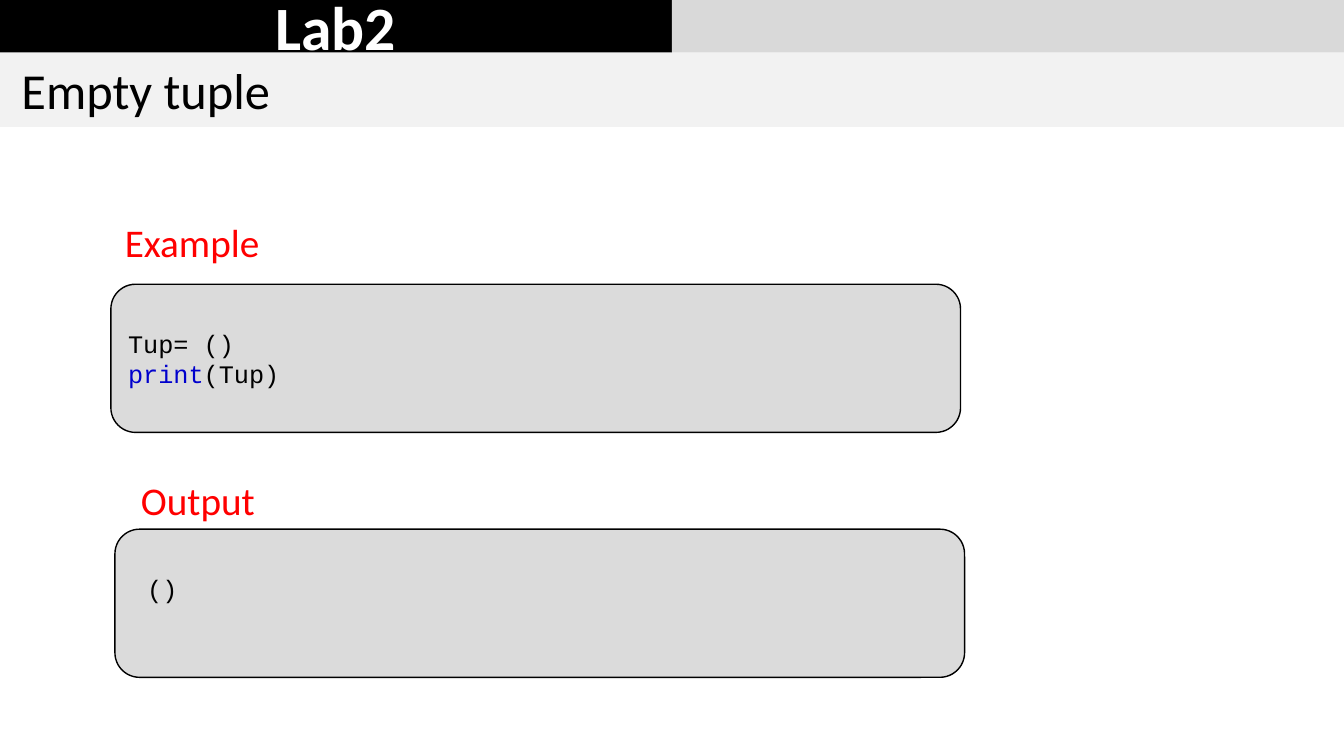
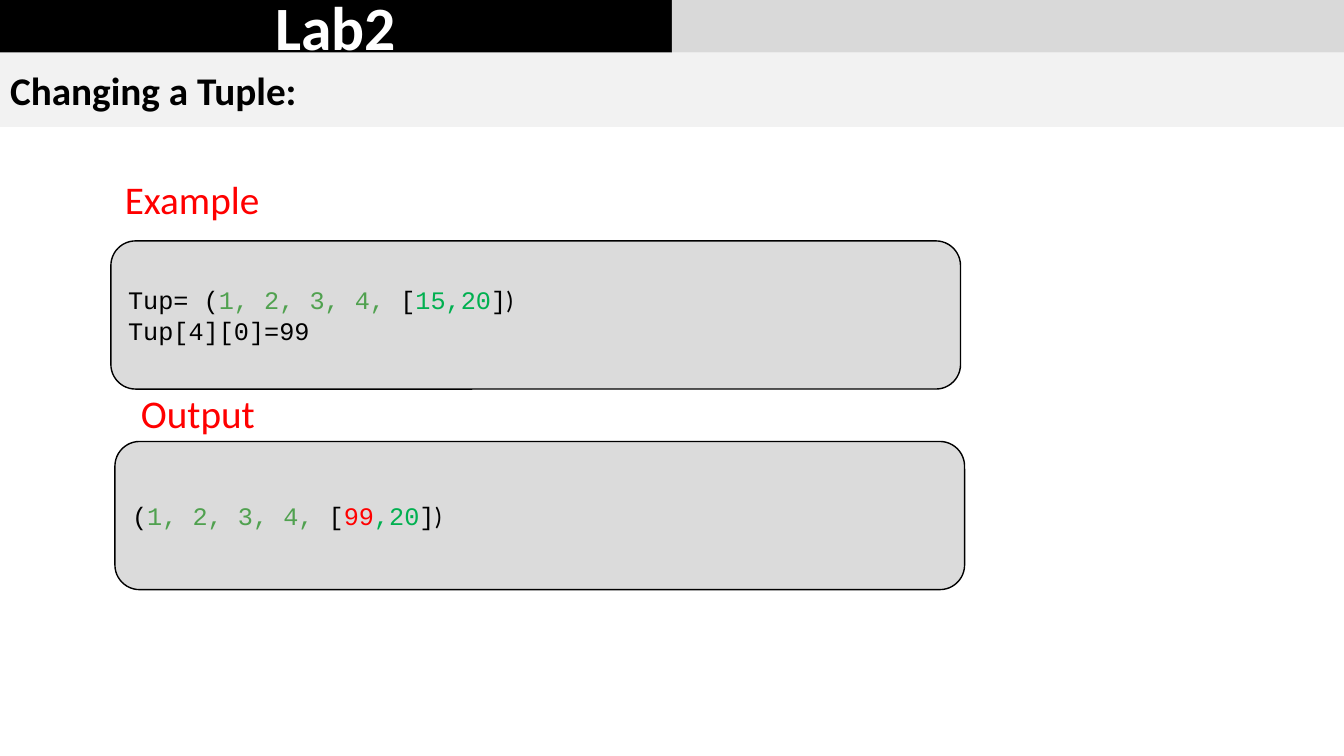
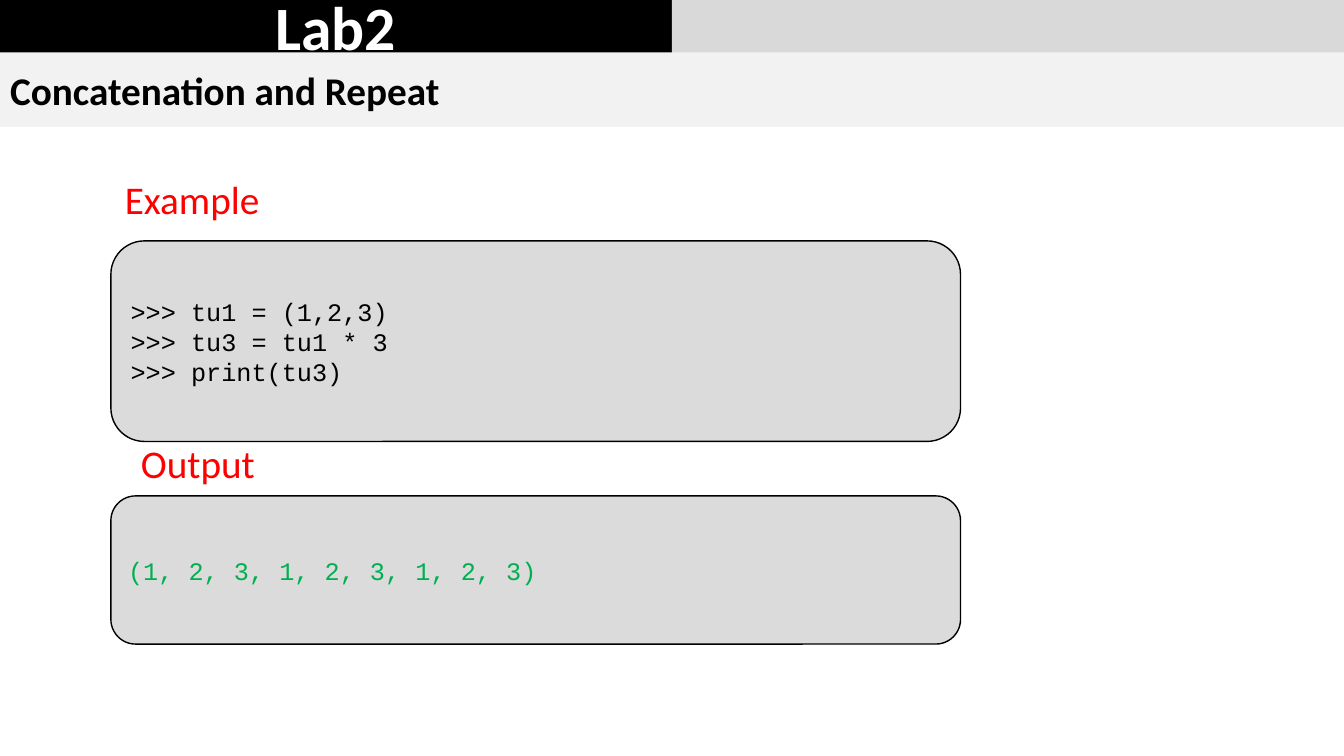
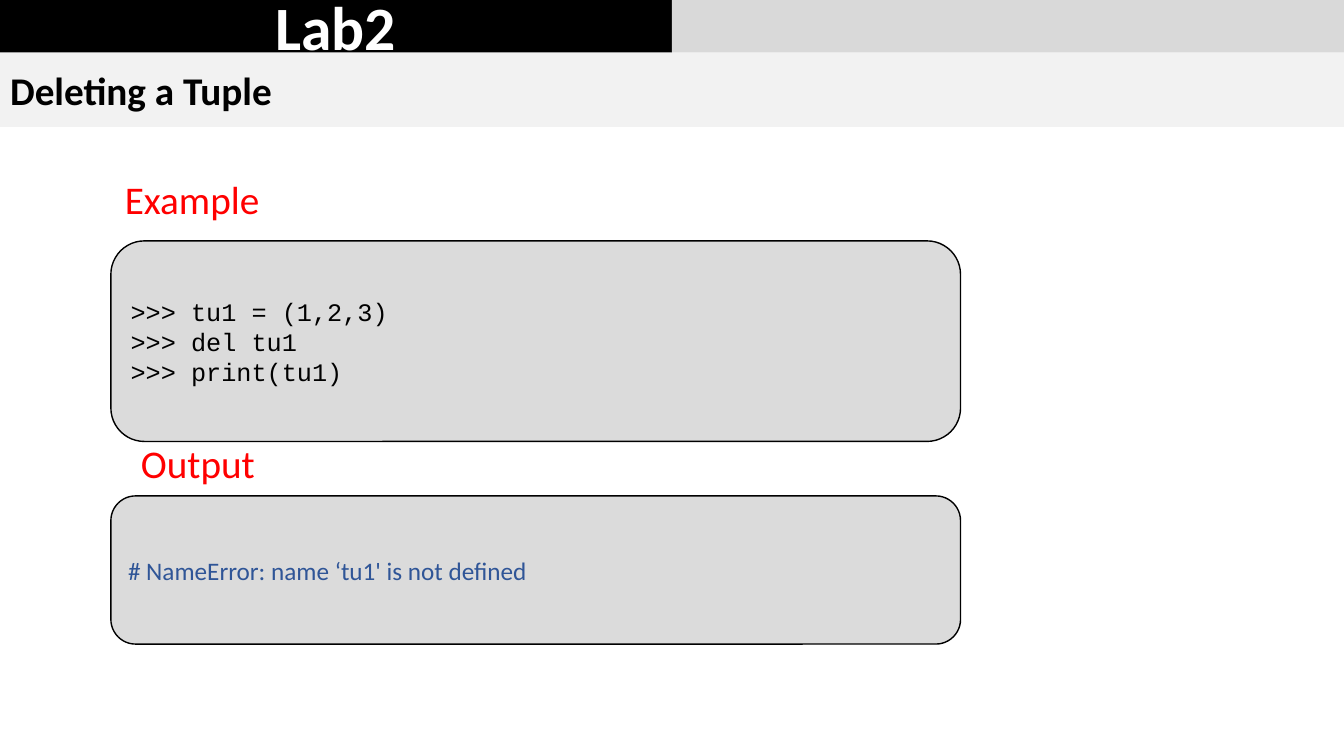
"""Build four lab slides on Python tuples, each with an example and its output."""
from dataclasses import dataclass

from pptx import Presentation
from pptx.dml.color import RGBColor
from pptx.enum.shapes import MSO_SHAPE
from pptx.enum.text import MSO_ANCHOR, MSO_AUTO_SIZE, PP_ALIGN
from pptx.shapes.autoshape import Shape
from pptx.slide import Slide
from pptx.text.text import Font
from pptx.util import Inches, Pt

SLIDE_WIDTH = Inches(13.33)
SLIDE_HEIGHT = Inches(7.5)
TITLE_ONLY = 5


@dataclass(frozen=True)
class Theme:
    sans: str = "Calibri"
    mono: str = "Courier New"
    black: str = "000000"
    white: str = "FFFFFF"
    band_gray: str = "D9D9D9"
    title_gray: str = "F2F2F2"
    panel_gray: str = "DBDBDB"
    red: str = "FF0000"
    keyword: str = "0000CD"
    number: str = "50A14F"
    green: str = "00B050"
    error: str = "2F5597"
    lab_size: int = 44
    large_title_size: int = 36
    title_size: int = 28
    label_size: int = 28
    code_size: int = 18
    outline: int = 1


THEME = Theme()


@dataclass(frozen=True)
class Area:
    """A rectangle in percent of the slide's width and height."""

    left: float
    top: float
    width: float
    height: float

    def place(self) -> tuple[int, int, int, int]:
        """Return left, top, width and height in slide units."""
        return (
            int(SLIDE_WIDTH * self.left / 100),
            int(SLIDE_HEIGHT * self.top / 100),
            int(SLIDE_WIDTH * self.width / 100),
            int(SLIDE_HEIGHT * self.height / 100),
        )


@dataclass(frozen=True)
class Span:
    text: str
    color: str = THEME.black
    font: str = THEME.mono
    ends_line: bool = False


@dataclass(frozen=True)
class Label:
    text: str
    left: float
    width: float


@dataclass(frozen=True)
class Panel:
    label: Label
    label_top: float
    left: float
    top: float
    height: float
    paras: tuple[tuple[Span, ...], ...]


@dataclass(frozen=True)
class Lesson:
    title: str
    panels: tuple[Panel, ...]
    title_size: int = THEME.title_size
    title_bold: bool = True


LAB_BAND = Area(0, 0, 50, 6.93)
SIDE_BAND = Area(50, 0, 50, 6.93)
TITLE_BAND = Area(0, 6.93, 100, 9.87)
PANEL_WIDTH = 63.22
PANEL_LEFT = 8.25
SHIFTED_LEFT = 8.55
SHORT_PANEL = 19.6
TALL_PANEL = 26.53
LABEL_HEIGHT = 7.6
EXAMPLE = Label("Example ", 8.55, 12.3)
OUTPUT = Label("Output", 9.75, 10.05)


def example(top: float, height: float, *paras: tuple[Span, ...]) -> Panel:
    """Describe an example panel with its label above."""
    return Panel(EXAMPLE, top - 9.33, PANEL_LEFT, top, height, paras)


def output(left: float, top: float, gap: float, *paras: tuple[Span, ...]) -> Panel:
    """Describe an output panel with its label the given gap above."""
    return Panel(OUTPUT, top - LABEL_HEIGHT - gap, left, top, SHORT_PANEL, paras)


def session(*commands: str) -> Panel:
    """Describe an example panel of interpreter commands."""
    return example(31.87, TALL_PANEL, *((Span(f">>> {command}"),) for command in commands))


def tuple_spans(opening: str, *items: Span, ends_line: bool = False) -> tuple[Span, ...]:
    """Colour a tuple of four numbers and a nested list."""
    return (
        Span(opening),
        Span("1, 2, 3, 4, ", THEME.number),
        Span("["),
        *items,
        Span("]"),
        Span(")", font=THEME.sans, ends_line=ends_line),
    )


LESSONS = (
    Lesson(
        "\u00a0Empty tuple",
        (
            example(
                37.6,
                SHORT_PANEL,
                (Span("Tup= ()", ends_line=True), Span("print", THEME.keyword), Span("(Tup)")),
            ),
            output(SHIFTED_LEFT, 70, 0, (Span(" ()", ends_line=True),)),
        ),
        title_size=THEME.large_title_size,
        title_bold=False,
    ),
    Lesson(
        "Changing a Tuple:",
        (
            example(
                31.87,
                SHORT_PANEL,
                tuple_spans("Tup= (", Span("15,20", THEME.green), ends_line=True)
                + (Span("Tup[4][0]=99"),),
            ),
            output(
                SHIFTED_LEFT,
                58.4,
                0,
                tuple_spans("(", Span("99", THEME.red), Span(",20", THEME.green)),
            ),
        ),
    ),
    Lesson(
        "Concatenation and Repeat",
        (
            session("tu1 = (1,2,3)", "tu3 = tu1 * 3", "print(tu3)"),
            output(PANEL_LEFT, 65.6, 0.53, (Span("(1, 2, 3, 1, 2, 3, 1, 2, 3)", THEME.green),)),
        ),
    ),
    Lesson(
        "Deleting a Tuple",
        (
            session("tu1 = (1,2,3)", "del tu1", "print(tu1)"),
            output(
                PANEL_LEFT,
                65.6,
                0.53,
                (Span("# NameError: name ‘tu1' is not defined", THEME.error, THEME.sans),),
            ),
        ),
    ),
)


def style_font(font: Font, size: int, color: str, name: str = THEME.sans, bold: bool = False) -> None:
    """Set the size, colour, typeface and weight of a font."""
    font.size = Pt(size)
    font.color.rgb = RGBColor.from_string(color)
    font.name = name
    font.bold = bold


def fill_shape(shape: Shape, color: str) -> None:
    """Give a shape a solid fill."""
    shape.fill.solid()
    shape.fill.fore_color.rgb = RGBColor.from_string(color)


def add_box(page: Slide, kind: MSO_SHAPE, area: Area, color: str) -> Shape:
    """Add a flat filled shape without an outline."""
    box = page.shapes.add_shape(kind, *area.place())
    box.shadow.inherit = False
    fill_shape(box, color)
    box.line.fill.background()
    box.text_frame.vertical_anchor = MSO_ANCHOR.MIDDLE
    return box


def add_header(page: Slide, lesson: Lesson) -> None:
    """Draw the top bands and format the title placeholder."""
    lab = add_box(page, MSO_SHAPE.RECTANGLE, LAB_BAND, THEME.black)
    para = lab.text_frame.paragraphs[0]
    para.text = "Lab2"
    para.alignment = PP_ALIGN.CENTER
    style_font(para.font, THEME.lab_size, THEME.white, bold=True)
    add_box(page, MSO_SHAPE.RECTANGLE, SIDE_BAND, THEME.band_gray)

    title = page.shapes.title
    title.left, title.top, title.width, title.height = TITLE_BAND.place()
    fill_shape(title, THEME.title_gray)
    frame = title.text_frame
    frame.auto_size = MSO_AUTO_SIZE.NONE
    frame.vertical_anchor = MSO_ANCHOR.MIDDLE
    para = frame.paragraphs[0]
    para.text = lesson.title
    para.alignment = PP_ALIGN.LEFT
    style_font(para.font, lesson.title_size, THEME.black, bold=lesson.title_bold)


def add_label(page: Slide, label: Label, top: float) -> None:
    """Add the red caption of a panel."""
    box = page.shapes.add_textbox(*Area(label.left, top, label.width, LABEL_HEIGHT).place())
    frame = box.text_frame
    frame.word_wrap = False
    frame.auto_size = MSO_AUTO_SIZE.SHAPE_TO_FIT_TEXT
    para = frame.paragraphs[0]
    para.text = label.text
    style_font(para.font, THEME.label_size, THEME.red)


def add_panel(page: Slide, panel: Panel) -> None:
    """Draw a rounded code panel and its label."""
    area = Area(panel.left, panel.top, PANEL_WIDTH, panel.height)
    box = add_box(page, MSO_SHAPE.ROUNDED_RECTANGLE, area, THEME.panel_gray)
    box.line.color.rgb = RGBColor.from_string(THEME.black)
    box.line.width = Pt(THEME.outline)
    frame = box.text_frame
    for index, spans in enumerate(panel.paras):
        para = frame.add_paragraph() if index else frame.paragraphs[0]
        para.alignment = PP_ALIGN.LEFT
        base = spans[0]
        style_font(para.font, THEME.code_size, base.color, base.font)
        for span in spans:
            run = para.add_run()
            run.text = span.text
            if span.color != base.color:
                run.font.color.rgb = RGBColor.from_string(span.color)
            if span.font != base.font:
                run.font.name = span.font
            if span.ends_line:
                para.add_line_break()
    add_label(page, panel.label, panel.label_top)


def build() -> None:
    """Build every lesson slide and save the deck."""
    deck = Presentation()
    deck.slide_width = SLIDE_WIDTH
    deck.slide_height = SLIDE_HEIGHT
    for lesson in LESSONS:
        page = deck.slides.add_slide(deck.slide_layouts[TITLE_ONLY])
        add_header(page, lesson)
        for panel in lesson.panels:
            add_panel(page, panel)
    deck.save("out.pptx")


build()
